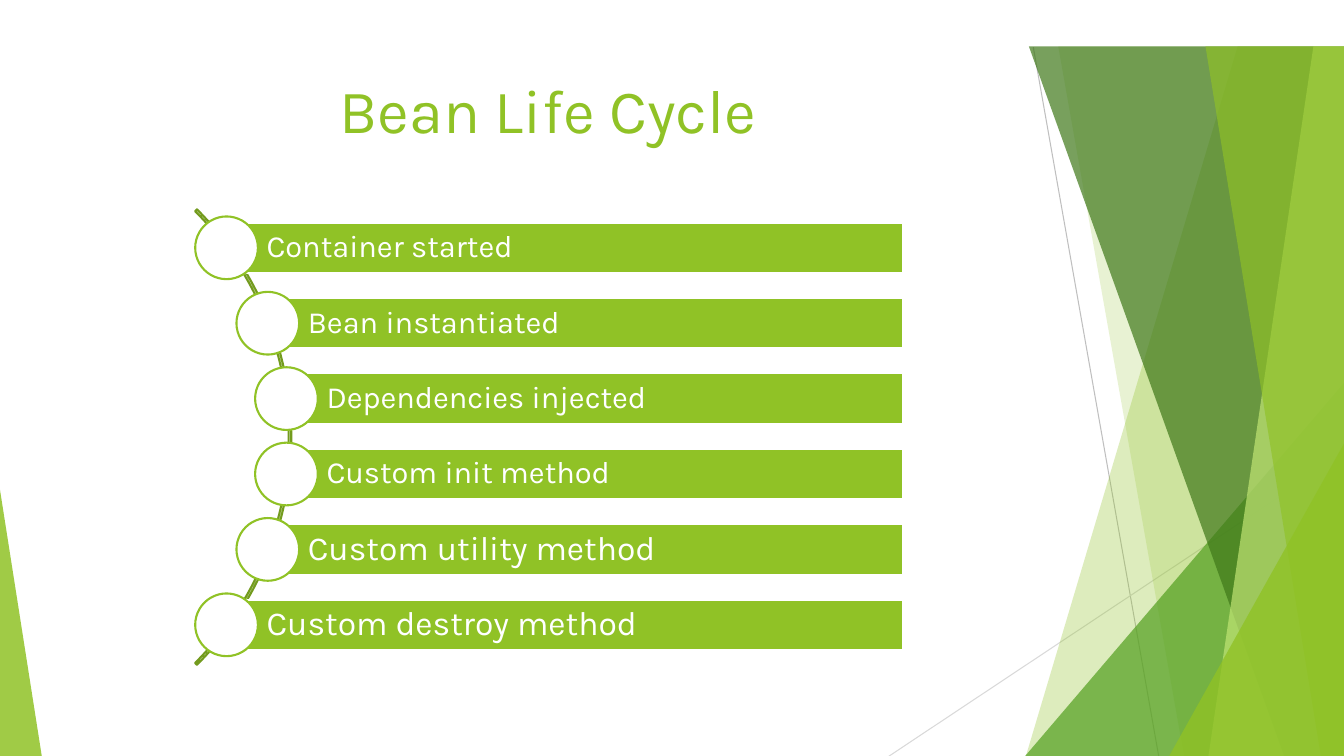
from pptx import Presentation
from pptx.dml.color import RGBColor
from pptx.enum.shapes import MSO_CONNECTOR as Connector, MSO_SHAPE as Preset
from pptx.enum.text import MSO_ANCHOR as Anchor, PP_ALIGN as Align
from pptx.oxml.ns import qn
from pptx.util import Cm, Pt
from lxml.etree import SubElement

WIDTH, HEIGHT = 33.87, 19.05
FACET_TOP, FACET_BOTTOM = 1.17, 20.24
BAR_TOP, BAR_PITCH, BAR_HEIGHT, BAR_RIGHT = 5.61, 1.9, 1.27, 22.75
KNOB = 1.58

STAGES = [  # label, left edge of the bar, text size
    ("Container started", 5.71, 22),
    ("Bean instantiated", 6.75, 22),
    ("Dependencies injected", 7.22, 22),
    ("Custom init method", 7.22, 22),
    ("Custom utility method", 6.75, 24),
    ("Custom destroy method", 5.71, 24),
]


def color(value):
    return RGBColor.from_string(value)


class Page:
    font = "Karla"
    green = "90C226"
    dark = "739B1E"
    white = "FFFFFF"

    def __init__(self, deck):
        self.slide = deck.slides.add_slide(deck.slide_layouts[6])
        self.shapes = self.slide.shapes

    def paint(self, shape, fill=None, line=None, opacity=100):
        shape.shadow.inherit = False
        if fill:
            shape.fill.solid()
            shape.fill.fore_color.rgb = color(fill)
            if opacity < 100:
                tone = shape._element.spPr.find(qn("a:solidFill"))[0]
                SubElement(tone, qn("a:alpha")).set("val", str(opacity * 1000))
        else:
            shape.fill.background()
        if line:
            shape.line.color.rgb = color(line)
            shape.line.width = Pt(1.5)
        else:
            shape.line.fill.background()

    def preset(self, kind, left, top, width, height, adjust=(), **style):
        shape = self.shapes.add_shape(kind, Cm(left), Cm(top), Cm(width), Cm(height))
        for index, value in enumerate(adjust):
            shape.adjustments[index] = value
        self.paint(shape, **style)
        return shape

    def facet(self, top_x, bottom_x, fill, opacity):
        """Draw a panel with a slanted left side that reaches the right edge."""
        builder = self.shapes.build_freeform(Cm(top_x), Cm(FACET_TOP))
        corners = [(WIDTH, FACET_TOP), (WIDTH, FACET_BOTTOM), (bottom_x, FACET_BOTTOM)]
        builder.add_line_segments([(Cm(x), Cm(y)) for x, y in corners])
        self.paint(builder.convert_to_shape(), fill=fill, opacity=opacity)

    def triangle(self, left, top, width, apex, fill, opacity):
        self.preset(Preset.ISOSCELES_TRIANGLE, left, top, width, FACET_BOTTOM - top,
                    adjust=[apex], fill=fill, opacity=opacity)

    def line(self, start, end, tone):
        rule = self.shapes.add_connector(
            Connector.STRAIGHT, *(Cm(value) for value in (*start, *end)))
        rule.line.color.rgb = color(tone)
        rule.line.width = Pt(0.75)
        SubElement(rule._element.spPr, qn("a:effectLst"))

    def label(self, frame, words, size, tone, align):
        frame.word_wrap = True
        frame.text = words
        para = frame.paragraphs[0]
        para.alignment = align
        span = para.runs[0]
        span.font.name = self.font
        span.font.size = Pt(size)
        span.font.color.rgb = color(tone)
        return para

    def title(self, words):
        box = self.shapes.add_textbox(Cm(1.88), Cm(1.7), Cm(23.88), Cm(3.66))
        box.text_frame.vertical_anchor = Anchor.TOP
        self.label(box.text_frame, words, 44, self.green, Align.CENTER)

    def stage(self, words, left, top, size):
        """Draw a labelled bar with a knob centred on its left end."""
        bar = self.preset(Preset.RECTANGLE, left, top, BAR_RIGHT - left, BAR_HEIGHT,
                          fill=self.green, line=self.white)
        frame = bar.text_frame
        frame.vertical_anchor = Anchor.MIDDLE
        frame.margin_left = Cm(1.01)
        frame.margin_right = frame.margin_top = frame.margin_bottom = Cm(0.16)
        self.label(frame, words, size, self.white, Align.LEFT).line_spacing = 0.9
        self.preset(Preset.OVAL, left - KNOB / 2, top + (BAR_HEIGHT - KNOB) / 2,
                    KNOB, KNOB, fill=self.white, line=self.green)


def main():
    deck = Presentation()
    deck.slide_width, deck.slide_height = Cm(WIDTH), Cm(HEIGHT)
    page = Page(deck)

    page.line((26.04, 1.19), (29.41, FACET_BOTTOM), "BFBFBF")
    page.line((WIDTH, 11.43), (20.62, FACET_BOTTOM), "D9D9D9")
    page.facet(31.19, 25.5, page.green, 30)
    page.facet(26.67, 30.05, page.green, 20)
    page.triangle(24.82, 9.65, 9.05, 1, "54A021", 72)
    page.facet(25.93, 32.79, "3F7819", 70)
    page.facet(33.1, 30.28, "C0E474", 70)
    page.facet(30.38, 33.48, page.green, 65)
    page.triangle(28.8, 11.18, 5.07, 1, page.green, 80)
    page.triangle(0, 12.34, 1.24, 0, page.green, 85)

    page.title("Bean Life Cycle")
    page.preset(Preset.BLOCK_ARC, -8.89, 2.9, 16.23, 16.23,
                adjust=[189, 27, 0.004], line=page.dark)
    for row, (words, left, size) in enumerate(STAGES):
        page.stage(words, left, BAR_TOP + row * BAR_PITCH, size)

    deck.save("out.pptx")


if __name__ == "__main__":
    main()
